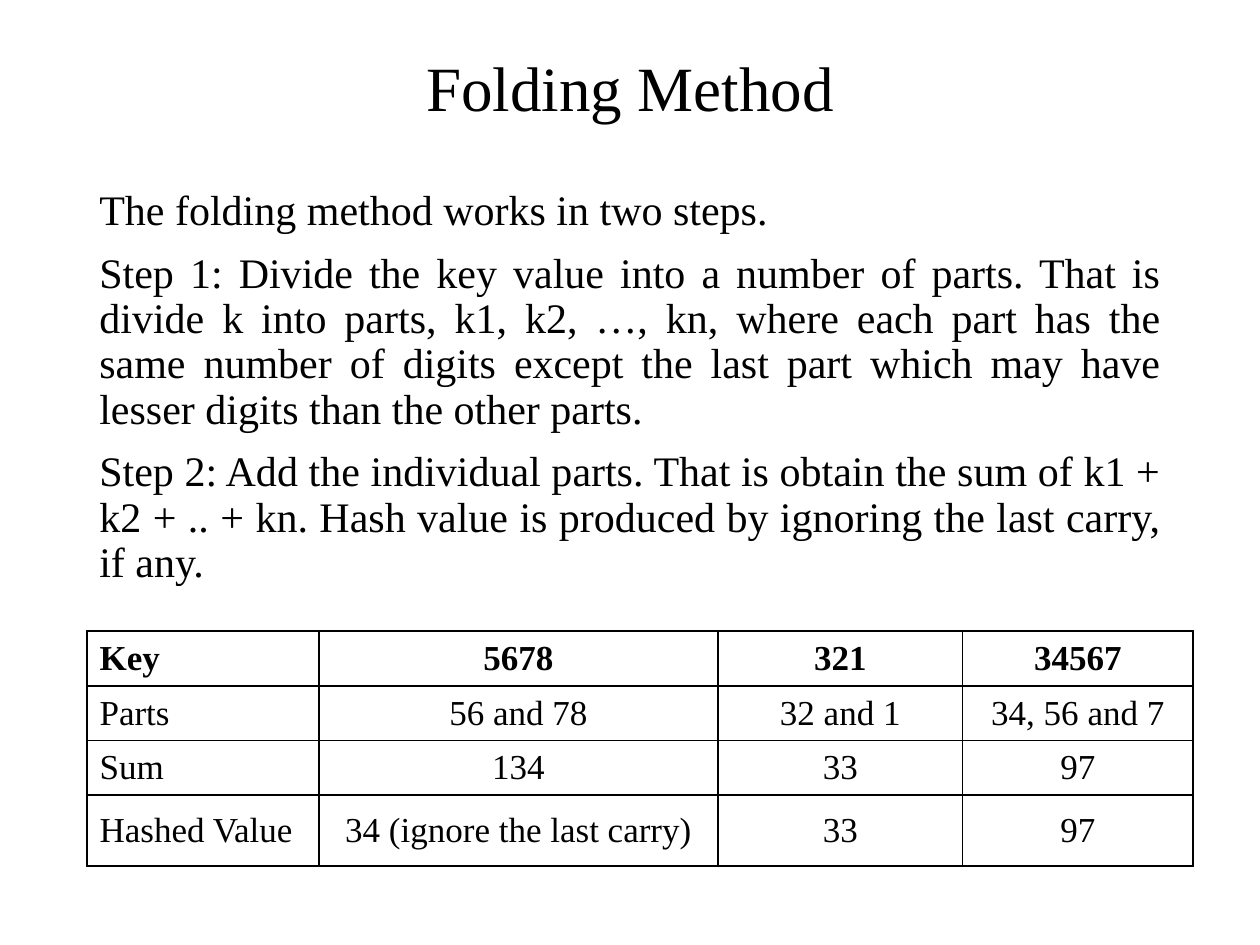
from dataclasses import dataclass

from lxml import etree
from pptx import Presentation
from pptx import util as u
from pptx.dml.color import RGBColor
from pptx.enum import text as t
from pptx.oxml import ns


@dataclass(frozen=True)
class Theme:
    font: str = "Times New Roman"
    ink: str = "000000"
    title_size: int = 36
    body_size: int = 24
    table_size: int = 20
    border: float = 1
    line_spacing: float = 0.9


@dataclass(frozen=True)
class Example:
    """One table column: a key and the stages of hashing it."""
    width: float
    entries: tuple[str, str, str, str]
    align: t.PP_ALIGN = t.PP_ALIGN.CENTER


THEME = Theme()
LEFT, CONTENT_WIDTH, BODY_TOP = 0.69, 8.62, 1.45
HANGING = 0.38
ROW_HEIGHTS = (0.38, 0.38, 0.38, 0.56)

STEPS = (
    "The folding method works in two steps.",
    "Step 1: Divide the key value into a number of parts. That is divide k into "
    "parts, k1, k2, …, kn, where each part has the same number of digits except "
    "the last part which may have lesser digits than the other parts.",
    "Step 2: Add the individual parts. That is obtain the sum of k1 + k2 + .. + kn. "
    "Hash value is produced by ignoring the last carry, if any.",
)

EXAMPLES = (
    Example(1.84, ("Key", "Parts", "Sum", "Hashed Value"), t.PP_ALIGN.LEFT),
    Example(3.17, ("5678", "56 and 78", "134", "34 (ignore the last carry)")),
    Example(1.94, ("321", "32 and 1", "33", "33")),
    Example(1.83, ("34567", "34, 56 and 7", "97", "97")),
)


def write(paragraph, words: str, size: int, align: t.PP_ALIGN, bold: bool = False) -> None:
    paragraph.alignment = align
    run = paragraph.add_run()
    run.text = words
    run.font.name = THEME.font
    run.font.size = u.Pt(size)
    run.font.bold = bold
    run.font.color.rgb = RGBColor.from_string(THEME.ink)


def add_title(slide, words: str) -> None:
    title = slide.shapes.title
    title.left, title.top = u.Inches(LEFT), u.Inches(0)
    title.width, title.height = u.Inches(CONTENT_WIDTH), u.Inches(BODY_TOP)
    title.text_frame.vertical_anchor = t.MSO_ANCHOR.MIDDLE
    heading = title.text_frame.paragraphs[0]
    heading.line_spacing = THEME.line_spacing
    write(heading, words, THEME.title_size, t.PP_ALIGN.CENTER)


def add_steps(slide, steps: tuple[str, ...]) -> None:
    body = slide.shapes.add_textbox(u.Inches(LEFT), u.Inches(BODY_TOP),
                                    u.Inches(CONTENT_WIDTH), u.Inches(4.76)).text_frame
    body.word_wrap = True
    for index, step in enumerate(steps):
        paragraph = body.add_paragraph() if index else body.paragraphs[0]
        paragraph.line_spacing = THEME.line_spacing
        paragraph.space_before = u.Pt(10)
        write(paragraph, step, THEME.body_size, t.PP_ALIGN.JUSTIFY)


def add_borders(cell) -> None:
    """Put the four border lines ahead of the cell's fill."""
    properties = cell._tc.get_or_add_tcPr()
    for position, side in enumerate(("lnL", "lnR", "lnT", "lnB")):
        line = etree.Element(ns.qn(f"a:{side}"), w=str(u.Pt(THEME.border)))
        fill = etree.SubElement(line, ns.qn("a:solidFill"))
        etree.SubElement(fill, ns.qn("a:srgbClr"), val=THEME.ink)
        properties.insert(position, line)


def add_examples(slide, examples: tuple[Example, ...]) -> None:
    table = slide.shapes.add_table(
        len(ROW_HEIGHTS), len(examples), u.Inches(LEFT), u.Inches(5.01),
        u.Inches(sum(example.width for example in examples)),
        u.Inches(sum(ROW_HEIGHTS))).table
    table.first_row = table.horz_banding = False
    for row, height in zip(table.rows, ROW_HEIGHTS):
        row.height = u.Inches(height)
    for column, example in enumerate(examples):
        table.columns[column].width = u.Inches(example.width)
        for row, entry in enumerate(example.entries):
            cell = table.cell(row, column)
            cell.fill.background()
            add_borders(cell)
            cell.vertical_anchor = t.MSO_ANCHOR.MIDDLE
            paragraph = cell.text_frame.paragraphs[0]
            write(paragraph, entry, THEME.table_size, example.align, bold=row == 0)
            indents = paragraph._p.get_or_add_pPr()
            indents.set("marL", str(u.Inches(HANGING)))
            indents.set("indent", str(-u.Inches(HANGING)))


def main() -> None:
    deck = Presentation()
    deck.slide_width, deck.slide_height = u.Inches(10), u.Inches(7.5)
    slide = deck.slides.add_slide(deck.slide_layouts[5])  # title only

    # Heading, explanation, worked examples
    add_title(slide, "Folding Method")
    add_steps(slide, STEPS)
    add_examples(slide, EXAMPLES)

    deck.save("out.pptx")


if __name__ == "__main__":
    main()
